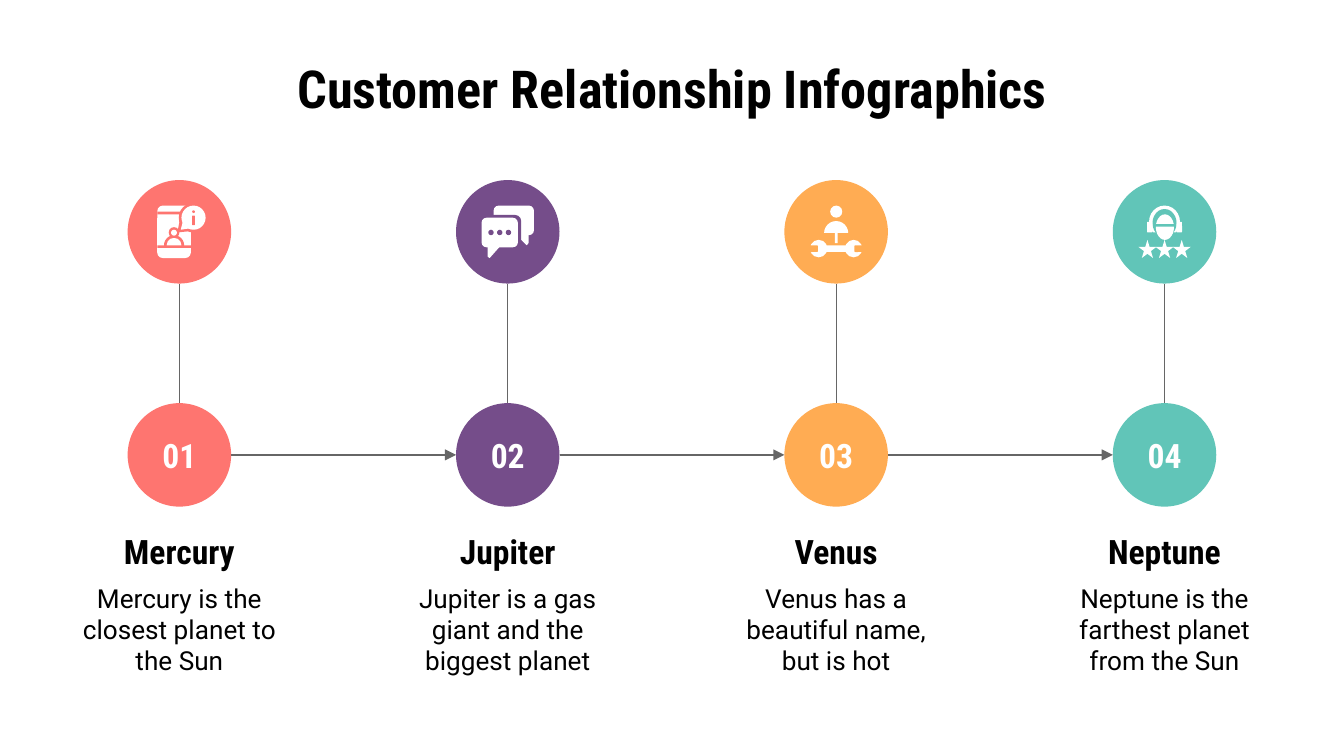
from lxml import etree
from pptx import Presentation
from pptx import util as u
from pptx.dml.color import RGBColor
from pptx.enum import shapes, text
from pptx.oxml.ns import qn

KIND = shapes.MSO_SHAPE
WHITE, BLACK, GRAY = "FFFFFF", "000000", "666666"
HEADING_FONT, BODY_FONT = "Roboto Condensed", "Roboto"
MARGIN, COLUMN_WIDTH, CIRCLE, ICON = 0.5, 1.67, 0.77, 0.39
ICON_TOP, NUMBER_TOP, NAME_TOP, BODY_TOP = 1.34, 3, 3.85, 4.23

# Icon parts, back to front, in hundredths of an inch inside the icon box:
# kind, is white (otherwise the circle colour), left, top, width, height.
# An outline has its corner points in place of the box.
OVAL, BOX, ROUND, STAR = KIND.OVAL, KIND.RECTANGLE, KIND.ROUNDED_RECTANGLE, KIND.STAR_5_POINT
OUTLINE = "outline"
PHONE = [
    (ROUND, True, 3, 0, 25, 39),
    (BOX, False, 3, 4.5, 25, 2),
    (OVAL, False, 8, 22, 15, 15),
    (OVAL, True, 10, 24, 11, 11),
    (OVAL, False, 11.5, 16, 8, 8),
    (OVAL, True, 13.3, 18, 4.4, 4.4),
    (BOX, True, 5, 31, 21, 7),
    (BOX, False, 3, 29.5, 25, 2),
    (OVAL, False, 19, -2, 22, 22),
    (OUTLINE, False, (20, 10), (18, 20), (28, 19)),
    (OVAL, True, 21, 0, 18, 18),
    (OUTLINE, True, (22, 12), (20.5, 18), (27, 17)),
    (OVAL, False, 29, 3.5, 2, 2),
    (ROUND, False, 29, 7.5, 2, 7),
]
CHAT = [
    (ROUND, True, 9, 0, 30, 22),
    (OUTLINE, True, (29, 20), (35, 20), (35, 28), (33.5, 29.5), (29, 25)),
    (ROUND, False, -2, 7, 31.5, 26),
    (ROUND, True, 0, 9, 27, 22),
    (OUTLINE, True, (4.5, 30), (4.5, 38), (6, 39), (14, 30)),
] + [(OVAL, False, left, 18, 4, 4) for left in (5, 11.5, 18)]
REPAIR = [
    (OVAL, True, 15, 0, 9, 9),
    (OVAL, True, 10.5, 11.5, 18, 18),
    (BOX, False, 10, 20.5, 19, 10),
    (BOX, True, 18.5, 20, 2, 8),
    (BOX, True, 10, 29.5, 19, 5),
    (OVAL, True, 0, 25.5, 13, 13),
    (OVAL, True, 26, 25.5, 13, 13),
    (ROUND, False, -1, 29.5, 7, 5),
    (ROUND, False, 33, 29.5, 7, 5),
]
AGENT = [
    (OVAL, True, 8, 0, 23, 24),
    (OVAL, False, 10.5, 2.5, 18, 21),
    (BOX, False, 8, 20, 23, 4),
    (ROUND, True, 6.5, 12, 4, 8),
    (ROUND, True, 28.5, 12, 4, 8),
    (OVAL, True, 13, 6.5, 13.5, 19),
    (BOX, False, 12.5, 13.7, 14.5, 2),
] + [(STAR, True, left, 25.5, 13.5, 13.5) for left in (0, 12.75, 25.5)]

STEPS = [
    ("Mercury", "Mercury is the closest planet to the Sun", "FE7570", PHONE),
    ("Jupiter", "Jupiter is a gas giant and the biggest planet", "754D8A", CHAT),
    ("Venus", "Venus has a beautiful name, but is hot", "FFAC53", REPAIR),
    ("Neptune", "Neptune is the farthest planet from the Sun", "61C5B8", AGENT),
]


def rgb(color):
    return RGBColor.from_string(color)


def paint(shape, color):
    """Give a shape a flat fill with no line or shadow."""
    shape.shadow.inherit = False
    shape.fill.solid()
    shape.fill.fore_color.rgb = rgb(color)
    shape.line.fill.background()


def write(shape, words, size, font, color, bold=True, anchor=text.MSO_ANCHOR.MIDDLE):
    frame = shape.text_frame
    frame.word_wrap = True
    frame.auto_size = text.MSO_AUTO_SIZE.NONE
    frame.vertical_anchor = anchor
    frame.margin_left = frame.margin_right = u.Inches(0.1)
    frame.margin_top = frame.margin_bottom = u.Inches(0.1)
    paragraph = frame.paragraphs[0]
    paragraph.alignment = text.PP_ALIGN.CENTER
    run = paragraph.add_run()
    run.text = words
    run.font.size = u.Pt(size)
    run.font.name = font
    run.font.bold = bold
    run.font.color.rgb = rgb(color)


def add_title(slide, words, left, top, width, height):
    title = slide.shapes.title
    title.left, title.top = u.Inches(left), u.Inches(top)
    title.width, title.height = u.Inches(width), u.Inches(height)
    write(title, words, 28, HEADING_FONT, BLACK)


def add_label(slide, box, words, size, font, bold):
    label = slide.shapes.add_textbox(*map(u.Inches, box))
    write(label, words, size, font, BLACK, bold, text.MSO_ANCHOR.TOP)


def add_circle(slide, left, top, color):
    circle = slide.shapes.add_shape(OVAL, *map(u.Inches, (left, top, CIRCLE, CIRCLE)))
    paint(circle, color)
    return circle


def add_line(slide, start, end, arrow=False):
    line = slide.shapes.add_connector(
        shapes.MSO_CONNECTOR.STRAIGHT, *map(u.Inches, (*start, *end)))
    line.line.color.rgb = rgb(GRAY)
    line.line.width = u.Pt(0.75)
    if arrow:
        etree.SubElement(line.line._get_or_add_ln(), qn("a:tailEnd"), type="triangle")
    etree.SubElement(line._element.spPr, qn("a:effectLst"))


def add_icon(slide, left, top, parts, color):
    icon = slide.shapes.add_group_shape()
    for kind, is_white, *places in parts:
        if kind == OUTLINE:
            points = [(u.Inches(left + x / 100), u.Inches(top + y / 100)) for x, y in places]
            builder = icon.shapes.build_freeform(*points[0])
            builder.add_line_segments(points[1:])
            part = builder.convert_to_shape()
        else:
            x, y, width, height = (place / 100 for place in places)
            part = icon.shapes.add_shape(
                kind, *map(u.Inches, (left + x, top + y, width, height)))
        paint(part, WHITE if is_white else color)


def add_step(slide, left, number, name, body, color, icon):
    """Place one column: icon, stem, numbered circle and its two labels."""
    center = left + COLUMN_WIDTH / 2
    circle_left = center - CIRCLE / 2
    add_circle(slide, circle_left, ICON_TOP, color)
    add_icon(slide, center - ICON / 2, ICON_TOP + (CIRCLE - ICON) / 2, icon, color)
    add_line(slide, (center, ICON_TOP + CIRCLE), (center, NUMBER_TOP))
    circle = add_circle(slide, circle_left, NUMBER_TOP, color)
    write(circle, f"{number:02}", 18, HEADING_FONT, WHITE)
    add_label(slide, (left, NAME_TOP, COLUMN_WIDTH, 0.36), name, 18, HEADING_FONT, True)
    add_label(slide, (left, BODY_TOP, COLUMN_WIDTH, 0.82), body, 14, BODY_FONT, False)


def add_timeline(slide, left, width):
    pitch = (width - COLUMN_WIDTH) / (len(STEPS) - 1)
    middle = NUMBER_TOP + CIRCLE / 2
    for index, step in enumerate(STEPS):
        column = left + index * pitch
        add_step(slide, column, index + 1, *step)
        if index:
            end = column + (COLUMN_WIDTH - CIRCLE) / 2
            add_line(slide, (end - pitch + CIRCLE, middle), (end, middle), arrow=True)


def main():
    presentation = Presentation()
    presentation.slide_width = u.Inches(10)
    presentation.slide_height = presentation.slide_width * 9 // 16
    slide = presentation.slides.add_slide(presentation.slide_layouts[5])
    add_title(slide, "Customer Relationship Infographics", MARGIN, 0.45, 9, 0.41)
    add_timeline(slide, MARGIN, 9)
    presentation.save("out.pptx")


if __name__ == "__main__":
    main()
